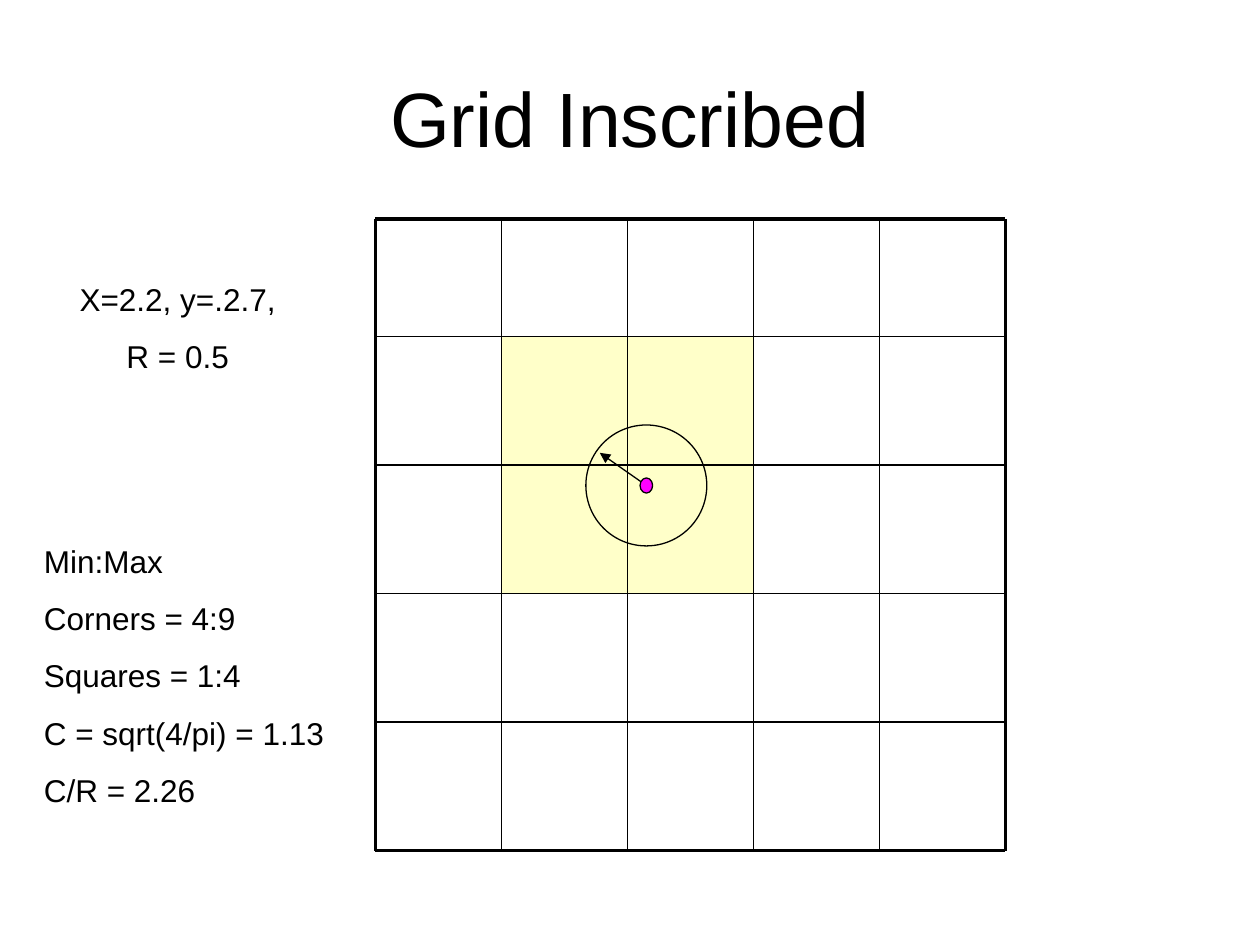
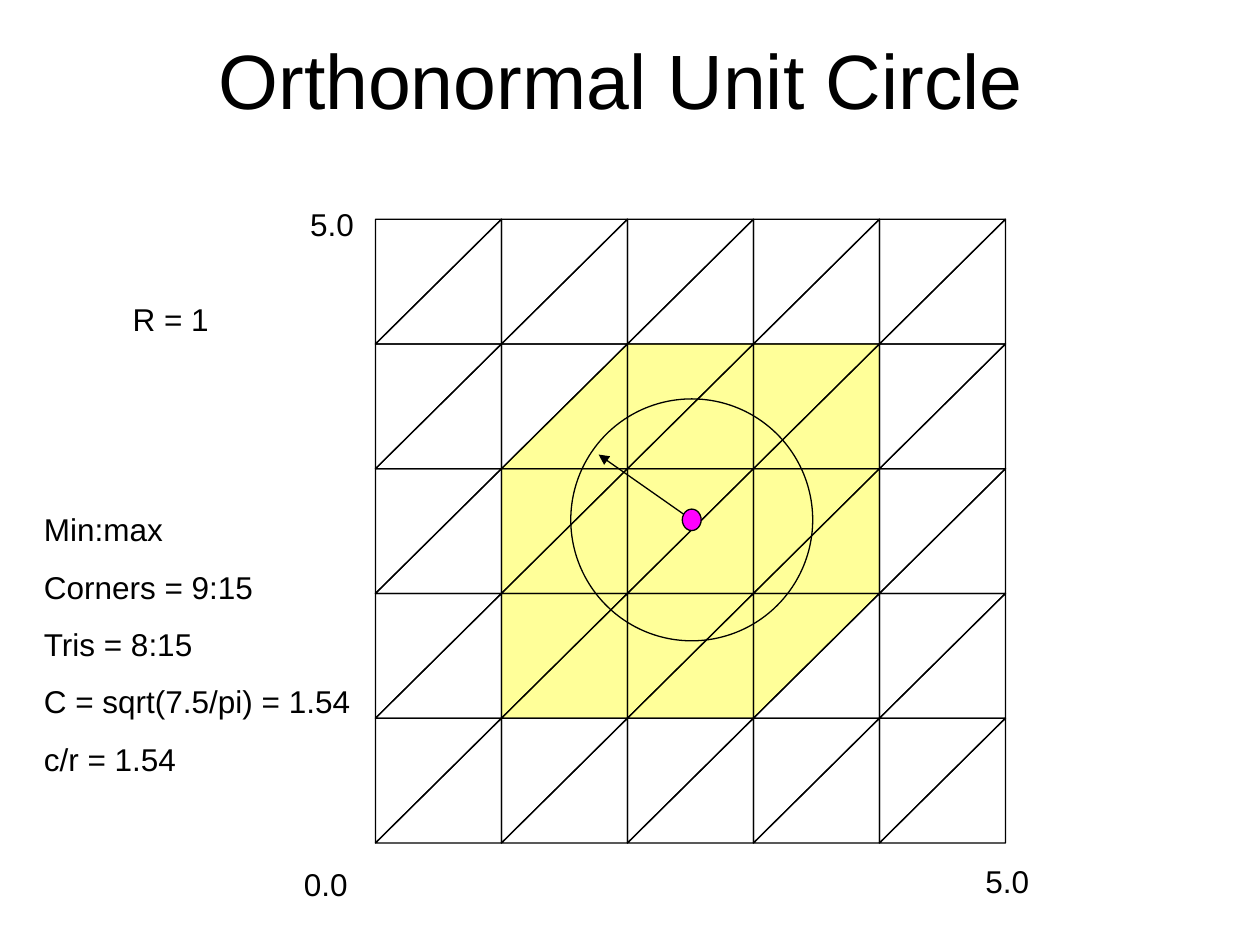
from lxml import etree
from pptx import Presentation
from pptx.dml.color import RGBColor
from pptx.enum import shapes, text
from pptx.oxml.ns import qn
from pptx.util import Inches, Pt

# Content: positions in inches, circle centres in cells from the lower left corner
COLORS = {"ink": "000000", "dot": "FF00FF", "square": "FFFF66", "triangle": "FFFF00"}
FONT = "Arial"
CELLS = 5
LEFT = 2.98
CENTER, START = text.PP_ALIGN.CENTER, text.PP_ALIGN.LEFT

INSCRIBED = {
    "title": ("Grid Inscribed", 0.5, 0.3),
    "notes": [
        (0.5, 2.17, 1.82, CENTER, ["X=2.2, y=.2.7,", "R = 0.5"]),
        (0.25, 4.25, 2.75, START, ["Min:Max", "Corners = 4:9", "Squares = 1:4",
                                   "C = sqrt(4/pi) = 1.13", "C/R = 2.26"]),
    ],
    "bottom": 6.75, "top": 1.74, "cell": (1.0, 1.02),
    "circle": {"at": (2.15, 2.84), "radius": 0.48, "dot": (0.1, 0.12)},
    "covered": [(col, row) for row in (2, 3) for col in (1, 2)],
}
UNIT = {
    "title": ("Orthonormal Unit Circle", 0.43, 0),
    "notes": [
        (2.03, 6.82, 1.11, CENTER, ["0.0"]),
        (2.08, 1.58, 1.11, CENTER, ["5.0"]),
        (7.44, 6.79, 1.11, CENTER, ["5.0"]),
        (0.33, 2.33, 2.05, CENTER, ["R = 1"]),
        (0.25, 4, 2.75, START, ["Min:max", "Corners = 9:15", "Tris = 8:15",
                                "C = sqrt(7.5/pi) = 1.54", "c/r = 1.54"]),
    ],
    "bottom": 6.69, "cell": (1.0, 0.99),
    "circle": {"at": (2.51, 2.59), "radius": 0.96, "dot": (0.15, 0.17)},
    # Covered halves of each cell, top row first: U upper, L lower, B both
    "covered": ["-----", "-LBB-", "-BBB-", "-BBU-", "-----"],
}


def rgb(name):
    return RGBColor.from_string(COLORS[name])


def style(paragraph, size, align):
    paragraph.alignment = align
    for run in paragraph.runs:
        run.font.name, run.font.size = FONT, Pt(size)
        run.font.color.rgb = rgb("ink")


def add_shape(slide, kind, box, fill=None, opacity=100, outlined=True):
    shape = slide.shapes.add_shape(kind, *map(Inches, box))
    shape.shadow.inherit = False
    if fill:
        shape.fill.solid()
        shape.fill.fore_color.rgb = rgb(fill)
        if opacity < 100:
            color = shape.fill._xPr.find(f".//{qn('a:srgbClr')}")
            etree.SubElement(color, qn("a:alpha"), val=str(opacity * 1000))
    else:
        shape.fill.background()
    if outlined:
        shape.line.color.rgb = rgb("ink")
        shape.line.width = Pt(0.75)
    else:
        shape.line.fill.background()
    return shape


def add_line(slide, start, end, width, arrow=False):
    line = slide.shapes.add_connector(shapes.MSO_CONNECTOR.STRAIGHT,
                                      *map(Inches, (*start, *end)))
    line.line.color.rgb = rgb("ink")
    line.line.width = Pt(width)
    if arrow:
        etree.SubElement(line.line._get_or_add_ln(), qn("a:tailEnd"), type="triangle")
    etree.SubElement(line._element.spPr, qn("a:effectLst"))


def add_texts(slide, content):
    words, left, top = content["title"]
    title = slide.shapes.title
    title.left, title.top, title.width, title.height = map(Inches, (left, top, 9, 1.25))
    title.text_frame.text = words
    title.text_frame.vertical_anchor = text.MSO_ANCHOR.MIDDLE
    style(title.text_frame.paragraphs[0], 44, CENTER)

    for left, top, width, align, lines in content["notes"]:
        height = 0.4 + 0.46 * (len(lines) - 1)
        frame = slide.shapes.add_textbox(*map(Inches, (left, top, width, height))).text_frame
        frame.word_wrap = True
        frame.text = "\n".join(lines)
        for number, paragraph in enumerate(frame.paragraphs):
            if number:
                paragraph.space_before = Pt(11.2)
            style(paragraph, 18, align)


def add_circle(slide, content):
    """Circle with its radius arrow and centre dot."""
    circle = content["circle"]
    (col, row), (cell_w, cell_h) = circle["at"], content["cell"]
    x, y = LEFT + col * cell_w, content["bottom"] - row * cell_h
    radius = circle["radius"]
    oval = shapes.MSO_SHAPE.OVAL
    add_shape(slide, oval, (x - radius, y - radius, 2 * radius, 2 * radius))
    add_line(slide, (x, y), (x - 0.77 * radius, y - 0.54 * radius), 0.75, arrow=True)
    dot_w, dot_h = circle["dot"]
    add_shape(slide, oval, (x - dot_w / 2, y - dot_h / 2, dot_w, dot_h), "dot")


def add_square_grid(slide, content):
    bottom, top = content["bottom"], content["top"]
    cell_w, cell_h = content["cell"]
    right = LEFT + CELLS * cell_w
    for col, row in content["covered"]:
        box = (LEFT + col * cell_w, bottom - (row + 1) * cell_h, cell_w, cell_h)
        add_shape(slide, shapes.MSO_SHAPE.RECTANGLE, box, "square", 35, outlined=False)
    for index in range(CELLS + 1):
        width = 2.25 if index in (0, CELLS) else 1
        x = LEFT + index * cell_w
        y = max(top, bottom - index * cell_h)  # the top row is slightly lower
        add_line(slide, (LEFT, y), (right, y), width)
        add_line(slide, (x, top), (x, bottom), width)


def add_triangle_grid(slide, content):
    cell_w, cell_h = content["cell"]
    top = content["bottom"] - CELLS * cell_h
    for row, marks in enumerate(content["covered"]):
        for col, mark in enumerate(marks):
            # Unrotated box whose quarter turn exactly fills the cell
            middle_x = LEFT + (col + 0.5) * cell_w
            middle_y = top + (row + 0.5) * cell_h
            box = (middle_x - cell_h / 2, middle_y - cell_w / 2, cell_h, cell_w)
            for half, angle in (("U", 90), ("L", 270)):
                fill = "triangle" if mark in (half, "B") else None
                half_cell = add_shape(slide, shapes.MSO_SHAPE.RIGHT_TRIANGLE, box, fill, 40)
                half_cell.rotation = angle


def main():
    deck = Presentation()
    deck.slide_width, deck.slide_height = Inches(10), Inches(7.5)
    title_only = deck.slide_layouts[5]
    for content, add_grid in ((INSCRIBED, add_square_grid), (UNIT, add_triangle_grid)):
        slide = deck.slides.add_slide(title_only)
        add_grid(slide, content)
        add_circle(slide, content)
        add_texts(slide, content)
    deck.save("out.pptx")


if __name__ == "__main__":
    main()
